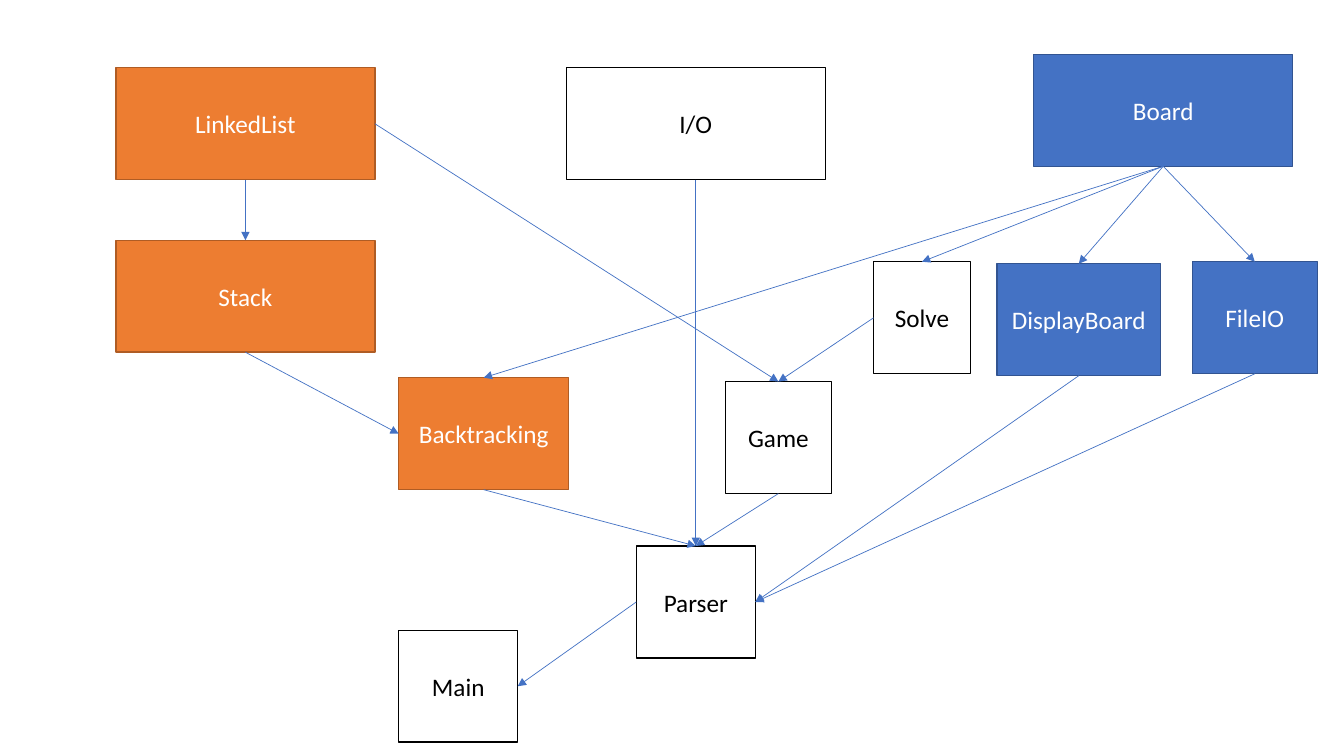
from lxml import etree
from pptx import Presentation
from pptx.dml.color import RGBColor
from pptx.enum import shapes, text
from pptx.oxml import ns
from pptx.util import Pt

TOP, LEFT, BOTTOM, RIGHT = range(4)
BOX_HEIGHT = 80
ORANGE = ("ED7D31", "AF5C24", "FFFFFF")
BLUE = ("4472C4", "325491", "FFFFFF")
WHITE = ("FFFFFF", "000000", "000000")

MODULES = [
    ("LinkedList", 82.8, 48.4, 185, ORANGE),
    ("Stack", 82.8, 171.6, 185, ORANGE),
    ("Board", 738.4, 38.8, 185, BLUE),
    ("DisplayBoard", 712.2, 188.4, 116.7, BLUE),
    ("FileIO", 851.6, 187, 89.4, BLUE),
    ("Backtracking", 284.8, 269.8, 121.5, ORANGE),
    ("Solve", 624, 187, 69.2, WHITE),
    ("Game", 518.2, 272.6, 75.6, WHITE),
    ("I/O", 404.5, 48.4, 185, WHITE),
    ("Parser", 454.5, 390, 85, WHITE),
    ("Main", 284.8, 450.2, 85, WHITE),
]

DEPENDENCIES = [
    ("LinkedList", BOTTOM, "Stack", TOP),
    ("Board", BOTTOM, "DisplayBoard", TOP),
    ("Board", BOTTOM, "FileIO", TOP),
    ("Stack", BOTTOM, "Backtracking", LEFT),
    ("Board", BOTTOM, "Backtracking", TOP),
    ("Board", BOTTOM, "Solve", TOP),
    ("Solve", LEFT, "Game", TOP),
    ("LinkedList", RIGHT, "Game", TOP),
    ("FileIO", BOTTOM, "Parser", RIGHT),
    ("Game", BOTTOM, "Parser", TOP),
    ("Backtracking", BOTTOM, "Parser", TOP),
    ("I/O", BOTTOM, "Parser", TOP),
    ("DisplayBoard", BOTTOM, "Parser", RIGHT),
    ("Parser", LEFT, "Main", RIGHT),
]


def paint(color_format, hex_color):
    """Give a fill or font colour its hex value."""
    color_format.rgb = RGBColor.from_string(hex_color)


def write(frame, wording, *, color, size=18, font="Calibri"):
    """Put centred, formatted text into a text frame."""
    frame.word_wrap = True
    frame.vertical_anchor = text.MSO_ANCHOR.MIDDLE
    paragraph = frame.paragraphs[0]
    paragraph.alignment = text.PP_ALIGN.CENTER
    run = paragraph.add_run()
    run.text = wording
    run.font.size = Pt(size)
    run.font.name = font
    paint(run.font.color, color)


def add_module(slide, name, left, top, width, palette):
    """Draw one module box and return it."""
    fill, outline, ink = palette
    module = slide.shapes.add_shape(
        shapes.MSO_SHAPE.RECTANGLE, Pt(left), Pt(top), Pt(width), Pt(BOX_HEIGHT))
    module.shadow.inherit = False
    module.fill.solid()
    paint(module.fill.fore_color, fill)
    paint(module.line.color, outline)
    module.line.width = Pt(1)
    write(module.text_frame, name, color=ink)
    return module


def add_dependency(slide, source, source_side, target, target_side):
    """Join two modules with a thin arrow."""
    arrow = slide.shapes.add_connector(shapes.MSO_CONNECTOR.STRAIGHT, 0, 0, 0, 0)
    arrow.begin_connect(source, source_side)
    arrow.end_connect(target, target_side)
    paint(arrow.line.color, "4472C4")
    arrow.line.width = Pt(0.5)
    etree.SubElement(arrow.line._get_or_add_ln(), ns.qn("a:tailEnd"), type="triangle")
    etree.SubElement(arrow._element.spPr, ns.qn("a:effectLst"))


def main():
    """Build the module dependency slide."""
    deck = Presentation()
    deck.slide_width, deck.slide_height = Pt(960), Pt(540)
    slide = deck.slides.add_slide(deck.slide_layouts.get_by_name("Blank"))
    modules = {name: add_module(slide, name, *place) for name, *place in MODULES}
    for source, source_side, target, target_side in DEPENDENCIES:
        add_dependency(slide, modules[source], source_side, modules[target], target_side)
    deck.save("out.pptx")


if __name__ == "__main__":
    main()
